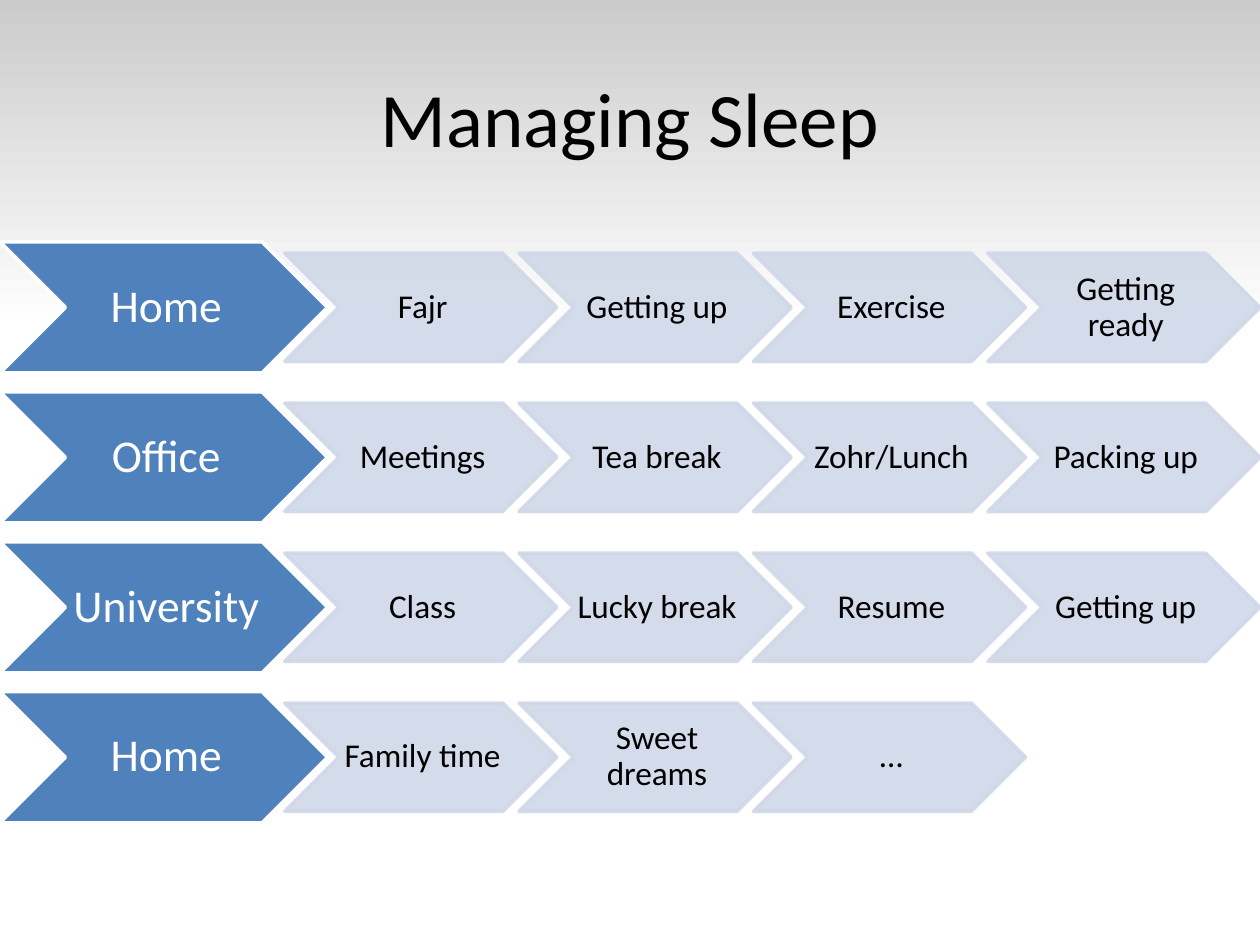
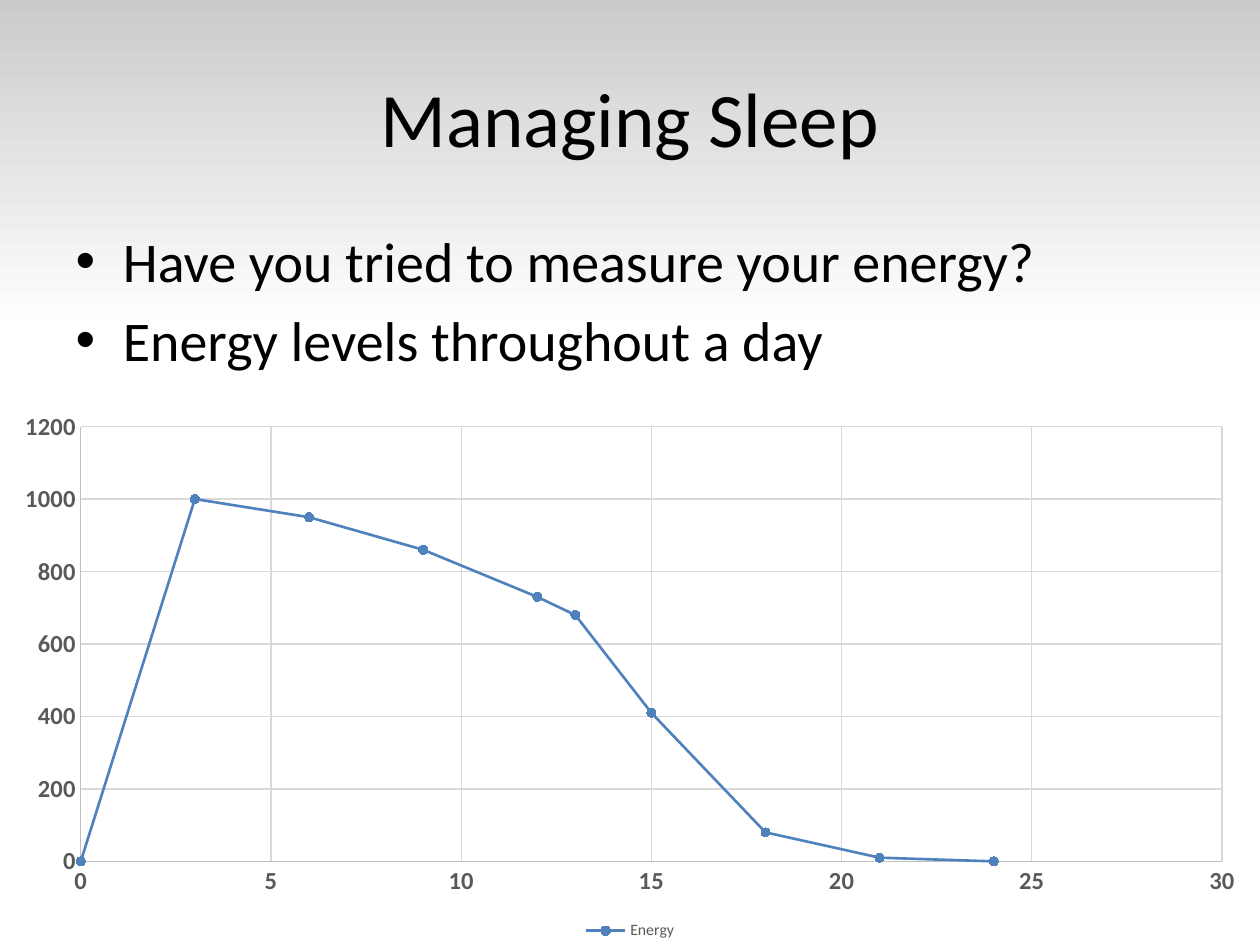
from lxml import etree
from pptx import Presentation
from pptx import util as u
from pptx.chart import data as cd
from pptx.dml.color import RGBColor
from pptx.enum import chart as ch, shapes, text
from pptx.oxml.ns import qn

BLUE = RGBColor(0x4F, 0x81, 0xBD)
PALE = RGBColor(0xD0, 0xD8, 0xE8)
WHITE = RGBColor(0xFF, 0xFF, 0xFF)
BLACK = RGBColor(0, 0, 0)
SMOKE = RGBColor(0xCB, 0xCB, 0xCB)
DARK = RGBColor(0x59, 0x59, 0x59)
EDGE = RGBColor(0xBF, 0xBF, 0xBF)
GRID = RGBColor(0xD9, 0xD9, 0xD9)
FONT = "Calibri"
HEAD = dict(fill=BLUE, line=WHITE, ink=WHITE, size=26, pad=0.04, alpha=None)
STEP = dict(fill=PALE, line=PALE, ink=BLACK, size=19, pad=0.03, alpha="90000")


def style(font, size, ink, bold=False):
    for key, val in dict(name=FONT, size=u.Pt(size), bold=bold).items():
        setattr(font, key, val)
    font.color.rgb = ink


def arrow(slide, label, left, top, wide, high, look):
    shape = slide.shapes.add_shape(
        shapes.MSO_SHAPE.CHEVRON, *map(u.Inches, (left, top, wide, high)))
    shape.shadow.inherit = False
    shape.fill.solid()
    shape.fill.fore_color.rgb = look["fill"]
    shape.line.color.rgb = look["line"]
    shape.line.width = u.Pt(2)
    if look["alpha"]:
        for tint in list(shape._element.spPr.iter(qn("a:srgbClr"))):
            etree.SubElement(tint, qn("a:alpha")).set("val", look["alpha"])
    frame = shape.text_frame
    form = dict(word_wrap=True, vertical_anchor=text.MSO_ANCHOR.MIDDLE,
                margin_left=u.Inches(look["pad"]), margin_right=0,
                margin_top=u.Inches(0.02), margin_bottom=u.Inches(0.02))
    for key, val in form.items():
        setattr(frame, key, val)
    para = frame.paragraphs[0]
    para.text = label
    para.alignment = text.PP_ALIGN.CENTER
    para.line_spacing = 0.9
    style(para.runs[0].font, look["size"], look["ink"])


deck = Presentation()
deck.slide_width, deck.slide_height = u.Inches(10), u.Inches(7.5)
back = deck.slide_master.background.fill
back.gradient()
back.gradient_angle = 270
for stop, place, tint in zip(back.gradient_stops, (0, 0.35), (SMOKE, WHITE)):
    stop.position = place
    stop.color.rgb = tint

plan, graph = [deck.slides.add_slide(deck.slide_layouts[n]) for n in (5, 1)]
for slide in (plan, graph):
    title = slide.shapes.title
    spots = dict(left=0.5, top=0.3, width=9, height=1.25)
    for key, val in spots.items():
        setattr(title, key, u.Inches(val))
    title.text_frame.text = "Managing Sleep"
    title.text_frame.vertical_anchor = text.MSO_ANCHOR.MIDDLE
    para = title.text_frame.paragraphs[0]
    para.alignment = text.PP_ALIGN.CENTER
    style(para.runs[0].font, 44, BLACK)

rows = [
    ("Home", ["Fajr", "Getting up", "Exercise", "Getting ready"]),
    ("Office", ["Meetings", "Tea break", "Zohr/Lunch", "Packing up"]),
    ("University", ["Class", "Lucky break", "Resume", "Getting up"]),
    ("Home", ["Family time", "Sweet dreams", "…"]),
]
for row, (place, tasks) in enumerate(rows):
    top = 1.92 + 1.19 * row
    arrow(plan, place, 0, top, 2.6, 1.04, HEAD)
    for col, task in enumerate(tasks):
        arrow(plan, task, 2.26 + 1.86 * col, top + 0.09, 2.16, 0.86, STEP)

body = graph.placeholders[1]
for key, val in dict(left=0.5, top=1.75, width=9, height=4.95).items():
    setattr(body, key, u.Inches(val))
body.text_frame.text = "Have you tried to measure your energy?\nEnergy levels throughout a day"
for para in body.text_frame.paragraphs:
    style(para.runs[0].font, 32, BLACK)

data = cd.XyChartData()
line = data.add_series("Energy")
hours = [0, 3, 6, 9, 12, 13, 15, 18, 21, 24]
power = [0, 1000, 950, 860, 730, 680, 410, 80, 10, 0]
for hour, level in zip(hours, power):
    line.add_data_point(hour, level)
chart = graph.shapes.add_chart(
    ch.XL_CHART_TYPE.XY_SCATTER_LINES, *map(u.Inches, (0, 3.18, 10, 4.32)), data).chart
chart.has_title = False
style(chart.font, 10, BLACK)
chart.has_legend = True
chart.legend.position = ch.XL_LEGEND_POSITION.BOTTOM
chart.legend.include_in_layout = False
style(chart.legend.font, 9, DARK)

for axis, top, unit in ((chart.category_axis, 30, 5), (chart.value_axis, 1200, 200)):
    form = dict(minimum_scale=0, maximum_scale=top, major_unit=unit,
                has_major_gridlines=True, has_minor_gridlines=False,
                major_tick_mark=ch.XL_TICK_MARK.NONE,
                minor_tick_mark=ch.XL_TICK_MARK.NONE)
    for key, val in form.items():
        setattr(axis, key, val)
    style(axis.tick_labels.font, 14, DARK, True)
    for part, tint in ((axis, EDGE), (axis.major_gridlines, GRID)):
        part.format.line.color.rgb = tint
        part.format.line.width = u.Pt(0.75)

chart.plots[0].vary_by_categories = False
curve = chart.plots[0].series[0]
curve.smooth = False
curve.format.line.color.rgb = BLUE
curve.format.line.width = u.Pt(1.5)
mark = curve.marker
mark.style, mark.size = ch.XL_MARKER_STYLE.CIRCLE, 5
mark.format.fill.solid()
mark.format.fill.fore_color.rgb = BLUE
mark.format.line.color.rgb = BLUE

deck.save("out.pptx")
